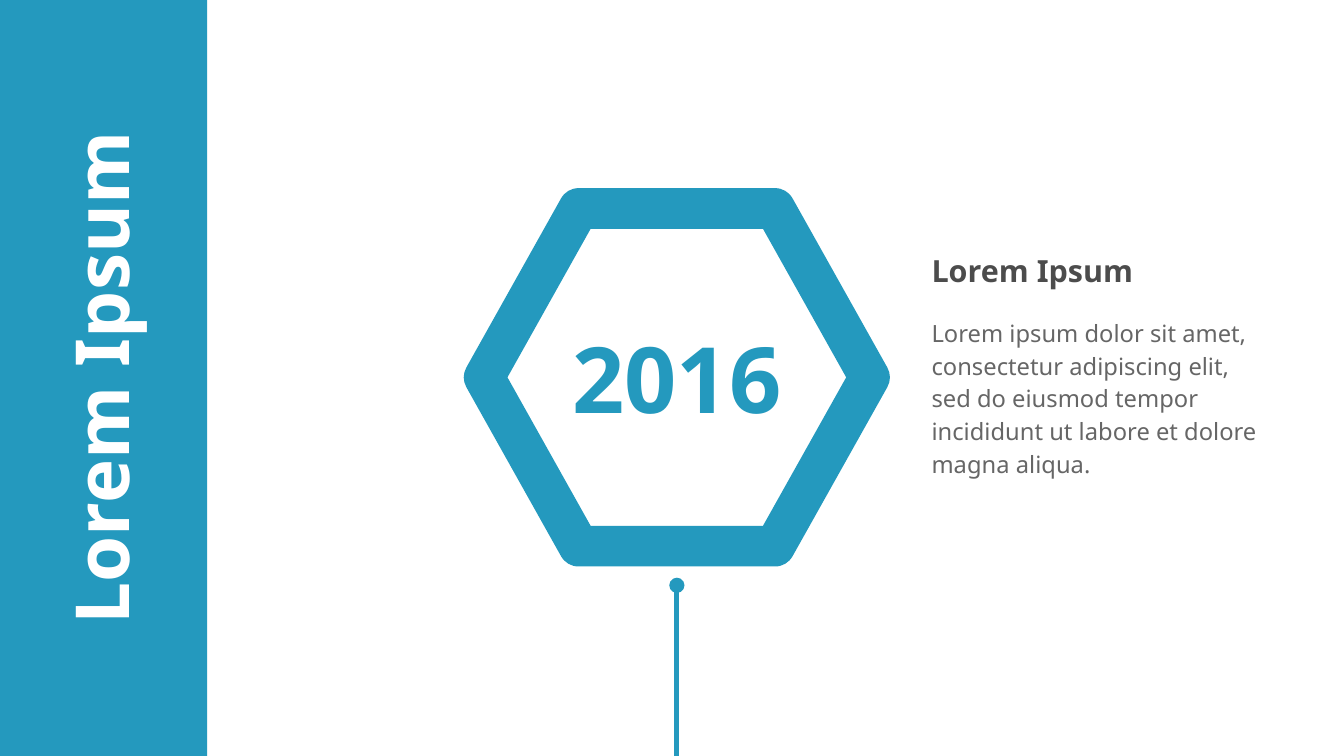
from dataclasses import dataclass

from lxml import etree
from pptx import Presentation
from pptx import util as u
from pptx.dml.color import RGBColor
from pptx.enum import shapes, text
from pptx.oxml.ns import qn


@dataclass(frozen=True)
class Theme:
    font: str = "Noto Sans"
    accent: str = "2499BE"
    white: str = "FFFFFF"
    heading: str = "4C4C4C"
    body: str = "666666"
    title_size: int = 44
    year_size: int = 54
    heading_size: int = 18
    body_size: int = 14


WIDTH, HEIGHT = 11.02, 6.2
SIDEBAR_WIDTH = 1.7
TITLE_HEIGHT = 1.03
HEXAGON = (3.97, 1.71, 3.16, 2.77)
TEXT_LEFT, TEXT_WIDTH = 7.54, 3


def write_text(shape, content, *, size, color, font, bold=False,
               align=text.PP_ALIGN.LEFT, anchor=text.MSO_ANCHOR.MIDDLE,
               margins=(0.1, 0.05), wrap=True, line_spacing=1.0):
    frame = shape.text_frame
    frame.text = content
    frame.word_wrap = wrap
    frame.auto_size = text.MSO_AUTO_SIZE.NONE
    frame.vertical_anchor = anchor
    frame.margin_left = frame.margin_right = u.Inches(margins[0])
    frame.margin_top = frame.margin_bottom = u.Inches(margins[1])
    paragraph = frame.paragraphs[0]
    paragraph.alignment = align
    paragraph.line_spacing = line_spacing
    paragraph.space_before = u.Pt(0)
    run_font = paragraph.runs[0].font
    run_font.name = font
    run_font.size = u.Pt(size)
    run_font.bold = bold
    run_font.color.rgb = RGBColor.from_string(color)


class SlideBuilder:
    def __init__(self, presentation, theme):
        self.theme = theme
        self.slide = presentation.slides.add_slide(presentation.slide_layouts[5])
        self.accent = RGBColor.from_string(theme.accent)

    def sidebar(self, width, height):
        shape = self.slide.shapes.add_shape(
            shapes.MSO_SHAPE.RECTANGLE, 0, 0, u.Inches(width), u.Inches(height))
        shape.shadow.inherit = False
        shape.fill.solid()
        shape.fill.fore_color.rgb = self.accent
        shape.line.fill.background()

    def vertical_title(self, content, center_x, center_y, length, thickness):
        """Turn the title placeholder to read upwards around its centre."""
        title = self.slide.shapes.title
        title.left = u.Inches(center_x - length / 2)
        title.top = u.Inches(center_y - thickness / 2)
        title.width, title.height = u.Inches(length), u.Inches(thickness)
        title.rotation = 270
        write_text(title, content, size=self.theme.title_size,
                   color=self.theme.white, font=self.theme.font, bold=True,
                   align=text.PP_ALIGN.CENTER, margins=(0, 0))

    def year_hexagon(self, year, box):
        shape = self.slide.shapes.add_shape(
            shapes.MSO_SHAPE.HEXAGON, *map(u.Inches, box))
        shape.adjustments[0] = 0.28
        shape.shadow.inherit = False
        shape.fill.background()
        shape.line.color.rgb = self.accent
        shape.line.width = u.Pt(24)
        etree.SubElement(shape.line._get_or_add_ln(), qn("a:round"))
        write_text(shape, year, size=self.theme.year_size,
                   color=self.theme.accent, font=self.theme.font, bold=True,
                   align=text.PP_ALIGN.CENTER, margins=(0.27, 0.22), wrap=False)

    def text_box(self, content, box, **text_format):
        shape = self.slide.shapes.add_textbox(*map(u.Inches, box))
        write_text(shape, content, font=self.theme.font, **text_format)

    def stem(self, x, top, bottom):
        """Draw a vertical line with a dot at its top."""
        line = self.slide.shapes.add_connector(
            shapes.MSO_CONNECTOR.STRAIGHT, u.Inches(x), u.Inches(top),
            u.Inches(x), u.Inches(bottom))
        line.line.color.rgb = self.accent
        line.line.width = u.Pt(3)
        etree.SubElement(line.line._get_or_add_ln(), qn("a:headEnd"), type="oval")
        etree.SubElement(line._element.spPr, qn("a:effectLst"))


def main():
    presentation = Presentation()
    presentation.slide_width = u.Inches(WIDTH)
    presentation.slide_height = u.Inches(HEIGHT)
    theme = Theme()
    builder = SlideBuilder(presentation, theme)

    builder.sidebar(SIDEBAR_WIDTH, HEIGHT)
    builder.year_hexagon("2016", HEXAGON)
    builder.text_box("Lorem Ipsum", (TEXT_LEFT, 1.97, TEXT_WIDTH, 0.5),
                     size=theme.heading_size, color=theme.heading, bold=True)
    builder.text_box(
        "Lorem ipsum dolor sit amet, consectetur adipiscing elit, sed do eiusmod "
        "tempor incididunt ut labore et dolore magna aliqua.",
        (TEXT_LEFT, 2.53, TEXT_WIDTH, 1.7), size=theme.body_size,
        color=theme.body, anchor=text.MSO_ANCHOR.TOP, line_spacing=1.15)
    hexagon_left, _, hexagon_width, _ = HEXAGON
    builder.stem(hexagon_left + hexagon_width / 2, 4.8, HEIGHT)

    title = builder.slide.shapes.title
    builder.slide.shapes._spTree.append(title._element)  # bring above the sidebar
    builder.vertical_title("Lorem Ipsum", 0.82, HEIGHT / 2, HEIGHT, TITLE_HEIGHT)

    presentation.save("out.pptx")


if __name__ == "__main__":
    main()
